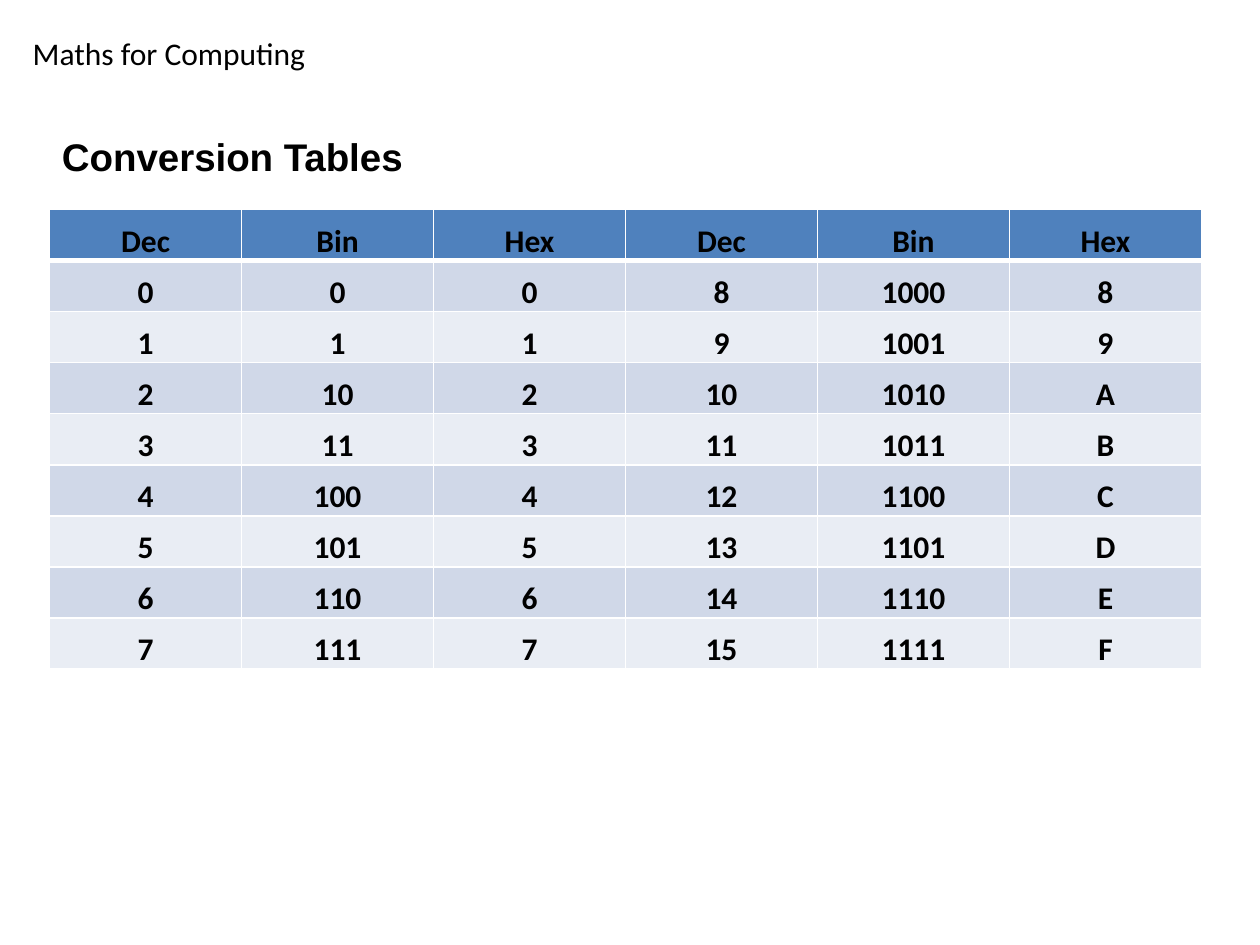
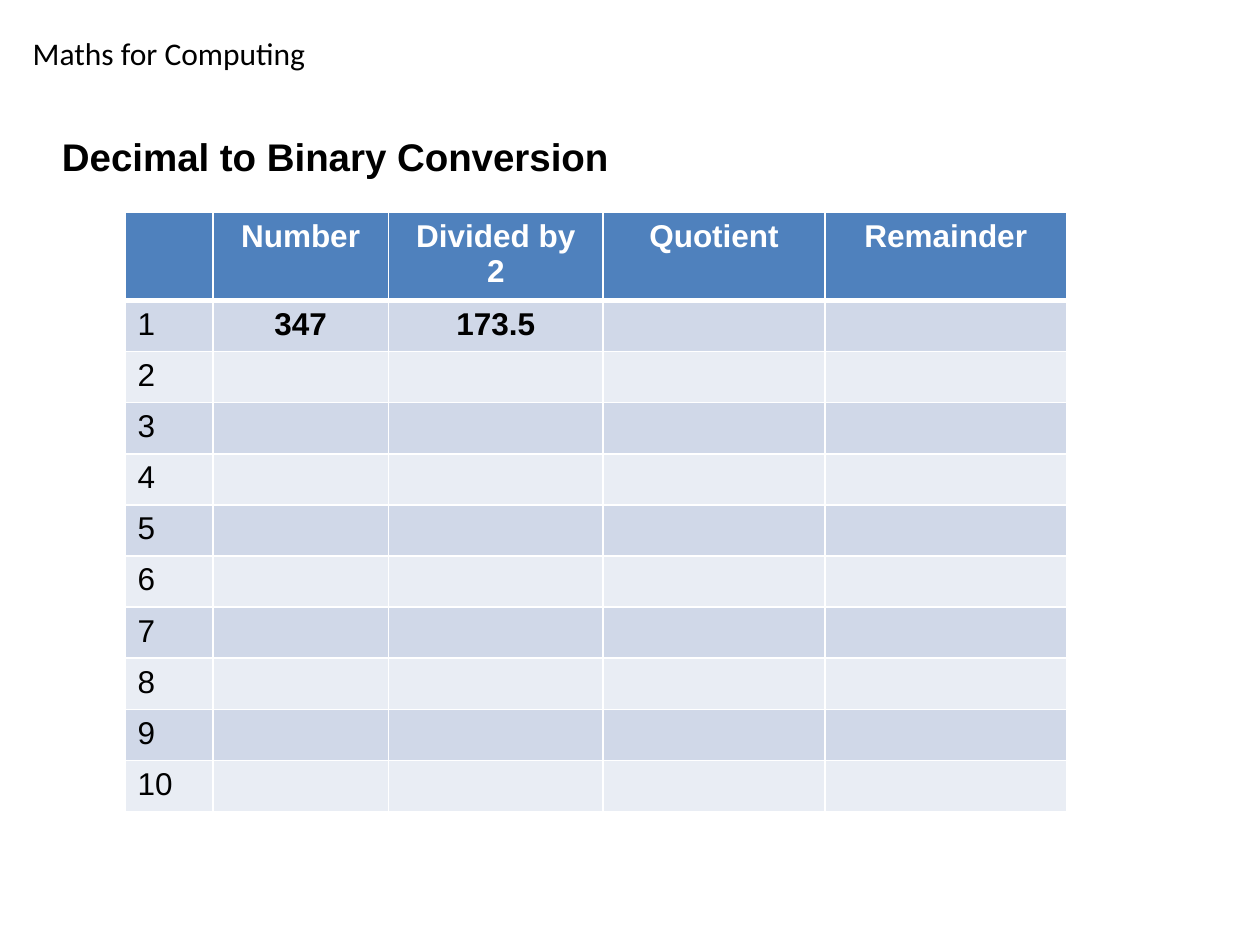
from lxml.etree import SubElement
from pptx import Presentation
from pptx.dml.color import RGBColor
from pptx.enum.text import MSO_ANCHOR, PP_ALIGN
from pptx.oxml.ns import qn
from pptx.util import Cm, Pt

BLACK, WHITE = "000000", "FFFFFF"
HEADER_FILL = "4F81BD"
BAND_FILLS = ["E9EDF4", "D0D8E8"]
ROW_HEIGHT = Cm(1.03)


def color(hex_string):
    return RGBColor.from_string(hex_string)


def set_font(paragraph, name, size, bold, hex_string=BLACK):
    paragraph.font.name = name
    paragraph.font.size = Pt(size)
    paragraph.font.bold = bold
    paragraph.font.color.rgb = color(hex_string)


# Contents of the two tables
conversion_rows = [["Dec", "Bin", "Hex"] * 2]
for number in range(8):
    conversion_rows.append([form for value in (number, number + 8)
                            for form in (f"{value}", f"{value:b}", f"{value:X}")])

division_rows = [["", "Number", "Divided by\v2", "Quotient", "Remainder"],
                 ["1", "347", "173.5", "", ""]]
division_rows += [[str(step), "", "", "", ""] for step in range(2, 11)]

pages = [
    {"title": "Conversion Tables", "rows": conversion_rows,
     "left": 1.0, "top": 4.22, "widths": [3.87] * 6,
     "font": "Calibri", "header_color": BLACK, "tight": True},
    {"title": "Decimal to Binary Conversion", "rows": division_rows,
     "left": 2.52, "top": 4.28, "widths": [1.77, 3.54, 4.33, 4.47, 4.87],
     "font": "Arial", "header_color": WHITE, "tight": False},
]

presentation = Presentation()
presentation.slide_width, presentation.slide_height = Cm(25.4), Cm(19.05)

for page in pages:
    slide = presentation.slides.add_slide(presentation.slide_layouts[6])

    # Course name and slide title
    for text, left, top, width, height, font, size, bold in [
        ("Maths for Computing", 0.41, 0.56, 17.55, 1.02, "Calibri", 18, False),
        (page["title"], 1.0, 2.6, 20.62, 1.1, "Arial", 22, True),
    ]:
        text_box = slide.shapes.add_textbox(Cm(left), Cm(top), Cm(width), Cm(height))
        text_box.text_frame.word_wrap = True
        text_box.text_frame.vertical_anchor = MSO_ANCHOR.MIDDLE
        paragraph = text_box.text_frame.paragraphs[0]
        paragraph.text = text
        set_font(paragraph, font, size, bold)

    # Table grid
    rows, widths = page["rows"], page["widths"]
    table = slide.shapes.add_table(len(rows), len(widths), Cm(page["left"]), Cm(page["top"]),
                                   Cm(sum(widths)), ROW_HEIGHT * len(rows)).table
    for column, width in zip(table.columns, widths):
        column.width = Cm(width)

    for row_index, row in enumerate(rows):
        table.rows[row_index].height = ROW_HEIGHT
        is_header = row_index == 0
        for column_index, text in enumerate(row):
            cell = table.cell(row_index, column_index)

            # White borders, thicker below the header row
            border_widths = {"a:lnL": 1, "a:lnR": 1,
                             "a:lnT": 3 if row_index == 1 else 1,
                             "a:lnB": 3 if is_header else 1}
            for tag, points in border_widths.items():
                line = SubElement(cell._tc.get_or_add_tcPr(), qn(tag), w=str(Pt(points)))
                SubElement(SubElement(line, qn("a:solidFill")), qn("a:srgbClr"), val=WHITE)

            cell.fill.solid()
            cell.fill.fore_color.rgb = color(HEADER_FILL if is_header else BAND_FILLS[row_index % 2])
            if page["tight"]:
                cell.vertical_anchor = MSO_ANCHOR.BOTTOM
                cell.margin_left = cell.margin_right = cell.margin_top = Cm(0.02)
                cell.margin_bottom = 0

            # Step numbers are plain and left-aligned; all other cells are bold and centred
            is_step = not page["tight"] and column_index == 0
            paragraph = cell.text_frame.paragraphs[0]
            paragraph.text = text
            paragraph.alignment = PP_ALIGN.LEFT if is_step else PP_ALIGN.CENTER
            set_font(paragraph, page["font"], 18, not is_step,
                     page["header_color"] if is_header else BLACK)

presentation.save("out.pptx")
